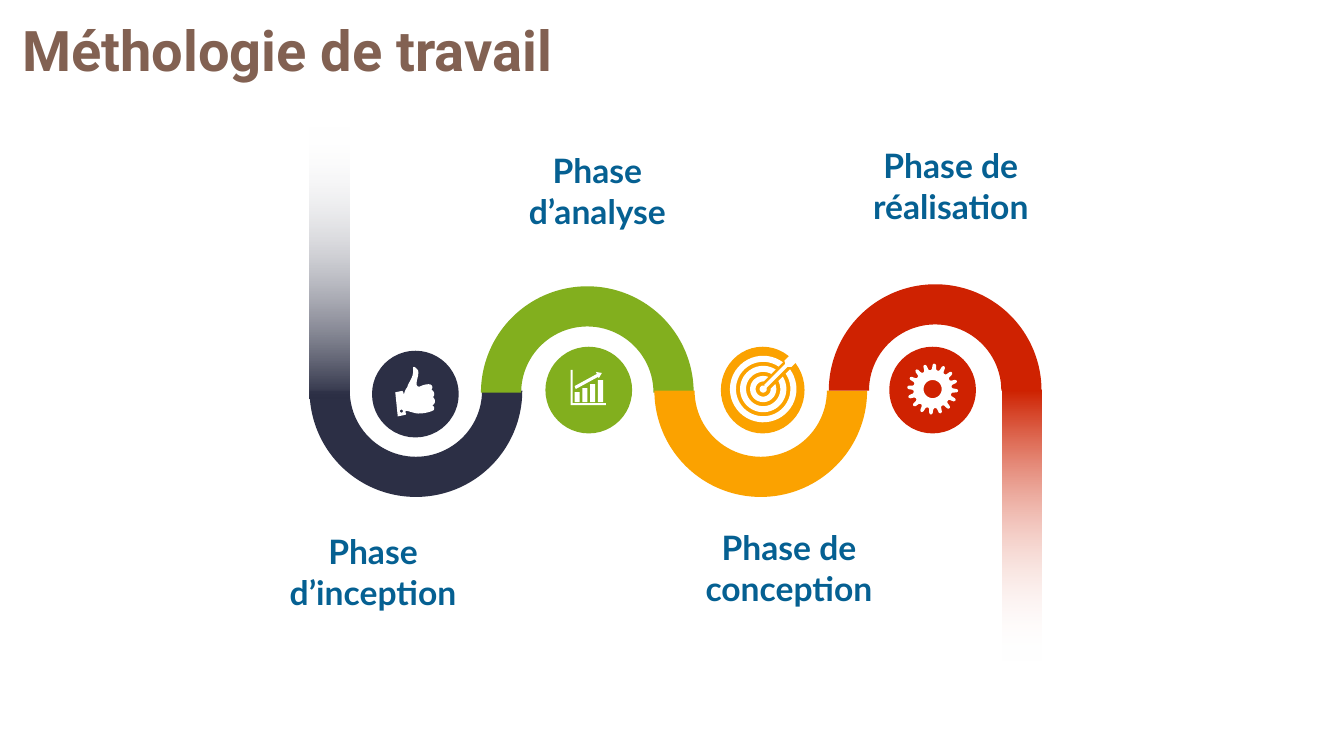
from dataclasses import dataclass
from math import asin, cos, pi, radians, sin

from lxml.etree import SubElement
from pptx import Presentation
from pptx.dml.color import RGBColor
from pptx.enum.shapes import MSO_SHAPE
from pptx.enum.text import MSO_ANCHOR, PP_ALIGN
from pptx.oxml.ns import qn
from pptx.util import Inches, Pt

COLORS = {
    "navy": "2C2F45", "green": "82AF1E", "orange": "FBA200", "red": "CF2201",
    "label": "056092", "title": "826152", "white": "FFFFFF",
}
TITLE_FORMAT = {"name": "Roboto", "size": Pt(40), "bold": True}
LABEL_FORMAT = {"name": "Lato", "size": Pt(24), "bold": True}

Point = tuple[float, float]
Box = tuple[float, float, float, float]


@dataclass(frozen=True)
class Phase:
    text: str
    color: str
    arc: Point
    opens_up: bool
    disc: Box
    label: Box


@dataclass(frozen=True)
class Tail:
    color: str
    box: Box
    angle: int


# Positions in columns and rows of a grid with ten cells to the inch
ARC_SIZE = 21.1
PHASES = [
    Phase("Phase d’inception", "navy", (30.7, 28.2), True,
          (36.9, 34.8, 8.6, 8.6), (23.3, 52.2, 27.4, 9.1)),
    Phase("Phase d’analyse", "green", (47.7, 28.4), False,
          (54.1, 34.4, 8.6, 8.6), (47.8, 14.4, 22.9, 9.1)),
    Phase("Phase de conception", "orange", (64.9, 28.2), True,
          (71.5, 34.4, 8.3, 8.6), (66, 51.8, 24.5, 9.1)),
    Phase("Phase de réalisation", "red", (82.2, 28.2), False,
          (88.2, 34.4, 8.6, 8.6), (81.7, 13.9, 25.2, 9.1)),
]
TAILS = [Tail("navy", (30.7, 12.6, 4, 26.9), 90),
         Tail("red", (99.4, 38.7, 3.9, 26.9), 270)]
TITLE_BOX = (1.2, 1, 59.3, 7.7)

# Thumb outline: pairs are line ends, sixes are Bézier curves
THUMB = [
    (41.2, 36.4), (41.3, 36.4, 41.5, 36.6, 41.6, 36.8),
    (41.7, 37.4, 41, 38.3, 41.6, 38.4), (41.9, 38.3, 42.1, 38.2, 42.5, 38.2),
    (42.9, 38.2, 43, 38.5, 42.8, 38.8), (43, 38.8, 43.2, 39.3, 42.9, 39.5),
    (43.2, 39.8, 43.1, 40.2, 42.8, 40.3), (43, 40.5, 43, 40.6, 42.9, 40.8),
    (42.5, 41, 41.4, 41.2, 40.8, 40.9), (40.5, 40.8, 40.3, 40.7, 40.1, 40.7),
    (40.1, 40.9), (40.2, 41, 40.1, 41.1, 40, 41.1), (39.3, 41.2), (39.2, 38.8),
    (39.9, 38.7), (39.9, 38.7, 40, 38.8, 40, 38.9), (40, 39),
    (40, 39, 40.1, 39, 40.1, 38.9), (40.2, 38.7, 40.2, 38.6, 40.4, 38.4),
    (40.6, 37.8, 41.1, 37.5, 41.1, 36.7), (41.1, 36.5, 41.1, 36.4, 41.2, 36.4),
]
TREND_ARROW = [(59.1, 36.9), (59.7, 37), (59.4, 37.5), (59.3, 37.4),
               (57.1, 38.6), (57, 38.3), (59.2, 37.1)]
CHART_AXES = [(56.6, 36.7), (56.8, 36.7), (56.8, 40), (60.1, 40),
              (60.1, 40.2), (56.6, 40.2)]
TARGET_ARROW = [(78.6, 35), (78.6, 35.6), (79.2, 35.7), (78.5, 36.4), (78.1, 36.4),
                (76, 38.5), (75.8, 38.2), (77.9, 36.1), (77.8, 35.8)]
TARGET_CENTER = (75.7, 38.6)
GEAR_CENTER = (92.5, 38.6)


def cells(value: float) -> int:
    return Inches(value / 10)


def paint(shape, color: str) -> None:
    shape.shadow.inherit = False
    shape.line.fill.background()
    shape.fill.solid()
    shape.fill.fore_color.rgb = RGBColor.from_string(COLORS[color])


def add_preset(slide, kind: MSO_SHAPE, box: Box, color: str):
    shape = slide.shapes.add_shape(kind, *map(cells, box))
    paint(shape, color)
    return shape


def add_outline(slide, *contours: list[Point], color: str = "white"):
    builder = None
    for contour in contours:
        points = [(cells(x), cells(y)) for x, y in contour]
        if builder is None:
            builder = slide.shapes.build_freeform(*points[0])
        else:
            builder.move_to(*points[0])
        builder.add_line_segments(points[1:], close=True)
    shape = builder.convert_to_shape()
    paint(shape, color)
    return shape


def write(shape, text: str, values: dict, color: str, alignment: PP_ALIGN) -> None:
    frame = shape.text_frame
    frame.word_wrap = True
    frame.vertical_anchor = MSO_ANCHOR.TOP
    paragraph = frame.paragraphs[0]
    paragraph.alignment = alignment
    run = paragraph.add_run()
    run.text = text
    for name, value in values.items():
        setattr(run.font, name, value)
    run.font.color.rgb = RGBColor.from_string(COLORS[color])


def arc(center: Point, radius: float, start: float, end: float, steps: int = 48) -> list[Point]:
    angles = [start + (end - start) * step / steps for step in range(steps + 1)]
    return [(center[0] + radius * cos(angle), center[1] + radius * sin(angle))
            for angle in angles]


def flatten(segments: list[tuple], steps: int = 8) -> list[Point]:
    points = [segments[0]]
    for segment in segments[1:]:
        if len(segment) == 2:
            points.append(segment)
            continue
        controls = [points[-1], segment[:2], segment[2:4], segment[4:]]
        for step in range(1, steps + 1):
            t = step / steps
            weights = ((1 - t) ** 3, 3 * t * (1 - t) ** 2, 3 * t * t * (1 - t), t ** 3)
            points.append(tuple(sum(weight * control[axis] for weight, control
                                    in zip(weights, controls)) for axis in (0, 1)))
    return points


def add_tail(slide, tail: Tail) -> None:
    shape = add_preset(slide, MSO_SHAPE.RECTANGLE, tail.box, tail.color)
    shape.fill.gradient()
    shape.fill.gradient_angle = tail.angle
    for stop, color in zip(shape.fill.gradient_stops, (tail.color, "white")):
        stop.color.rgb = RGBColor.from_string(COLORS[color])
    faded = shape.fill._xPr.findall(".//" + qn("a:srgbClr"))[-1]
    SubElement(faded, qn("a:alpha")).set("val", "0")


def add_thumb(slide) -> None:
    hole = arc((39.7, 40.7), 0.15, 0, 2 * pi, 12)
    add_outline(slide, flatten(THUMB), hole).rotation = 356.5


def add_chart_icon(slide) -> None:
    bars = []
    for index, top in enumerate((38.9, 38.5, 38.1, 37.7)):
        left = 57 + index * 0.77
        bars.append([(left, top), (left + 0.5, top), (left + 0.5, 39.9), (left, 39.9)])
    add_outline(slide, *bars, TREND_ARROW, CHART_AXES)


def add_target(slide) -> None:
    rings = []
    for outer, inner in ((3.3, 2.7), (2.3, 1.7), (1.3, 0.75)):
        ring = []
        for radius, forward in ((outer, True), (inner, False)):
            gap = asin(0.5 / radius)
            ends = (-pi / 4 + gap, 7 * pi / 4 - gap)
            ring += arc(TARGET_CENTER, radius, *(ends if forward else ends[::-1]))
        rings.append(ring)
    add_outline(slide, *rings)
    add_outline(slide, TARGET_ARROW)
    add_outline(slide, arc(TARGET_CENTER, 0.35, 0, 2 * pi))


def add_gear(slide, teeth: int = 16) -> None:
    rim = []
    for tooth in range(teeth):
        middle = radians(-41 + tooth * 360 / teeth)
        for offset, radius in ((-9, 1.9), (-6, 2.0), (-4, 2.4), (-1.5, 2.52),
                               (1.5, 2.52), (4, 2.4), (6, 2.0), (9, 1.9)):
            rim += arc(GEAR_CENTER, radius, middle + radians(offset), middle, 1)[:1]
    add_outline(slide, rim, arc(GEAR_CENTER, 0.9, 0, 2 * pi))


def main() -> None:
    presentation = Presentation()
    presentation.slide_width, presentation.slide_height = Inches(13.33), Inches(7.5)
    slide = presentation.slides.add_slide(presentation.slide_layouts[5])

    # Title
    title = slide.shapes.title
    title.left, title.top, title.width, title.height = map(cells, TITLE_BOX)
    write(title, "Méthologie de travail", TITLE_FORMAT, "title", PP_ALIGN.LEFT)

    # Winding road
    for phase in PHASES:
        bend = add_preset(slide, MSO_SHAPE.BLOCK_ARC,
                          (*phase.arc, ARC_SIZE, ARC_SIZE), phase.color)
        for index, value in enumerate((108, 0, 0.189)):
            bend.adjustments[index] = value
        bend.rotation = 180 if phase.opens_up else 0
    for tail in TAILS:
        add_tail(slide, tail)

    # Discs, icons and labels
    for phase, add_icon in zip(PHASES, (add_thumb, add_chart_icon, add_target, add_gear)):
        add_preset(slide, MSO_SHAPE.OVAL, phase.disc, phase.color)
        add_icon(slide)
        label = slide.shapes.add_textbox(*map(cells, phase.label))
        write(label, phase.text, LABEL_FORMAT, "label", PP_ALIGN.CENTER)

    presentation.save("out.pptx")


if __name__ == "__main__":
    main()
